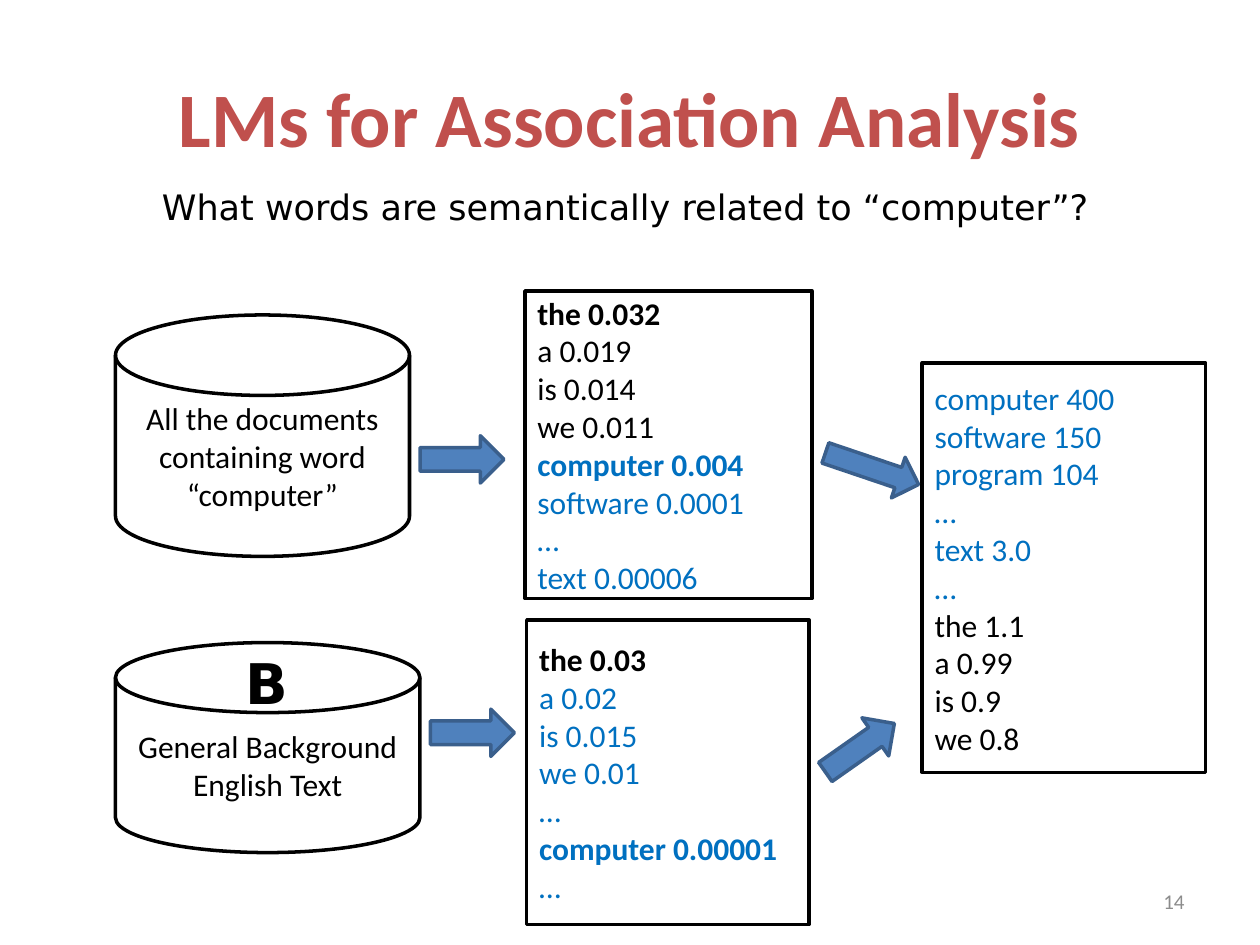
from pptx import Presentation
from pptx.dml.color import RGBColor
from pptx.enum.shapes import MSO_SHAPE
from pptx.enum.text import MSO_ANCHOR, PP_ALIGN
from pptx.util import Pt

RECTANGLE = MSO_SHAPE.RECTANGLE
CYLINDER = MSO_SHAPE.FLOWCHART_MAGNETIC_DISK
ARROW = MSO_SHAPE.RIGHT_ARROW
LEFT, CENTER, RIGHT = PP_ALIGN.LEFT, PP_ALIGN.CENTER, PP_ALIGN.RIGHT
TOP, MIDDLE = MSO_ANCHOR.TOP, MSO_ANCHOR.MIDDLE

BLACK = RGBColor(0x00, 0x00, 0x00)
WHITE = RGBColor(0xFF, 0xFF, 0xFF)
RED = RGBColor(0xC0, 0x50, 0x4D)
GRAY = RGBColor(0x8C, 0x8C, 0x8C)
WORD_BLUE = RGBColor(0x00, 0x70, 0xC0)
ARROW_FILL = RGBColor(0x4F, 0x81, 0xBD)
ARROW_LINE = RGBColor(0x3A, 0x5F, 0x8C)

BODY_FONT = "Calibri"
ACCENT_FONT = "DejaVu Sans"


def add_text(para, text, *, size=18, font=BODY_FONT, color=BLACK, bold=False, align=LEFT):
    """Write one formatted span into a paragraph."""
    para.alignment = align
    span = para.add_run()
    span.text = text
    span.font.size = Pt(size)
    span.font.name = font
    span.font.color.rgb = color
    span.font.bold = bold


class Diagram:
    """Holds the current page and the shared line style."""

    line_width = Pt(2)

    def __init__(self, page):
        self.page = page

    def label(self, text, left, top, width, height, anchor=MIDDLE, wrap=True, **style):
        box = self.page.shapes.add_textbox(Pt(left), Pt(top), Pt(width), Pt(height))
        frame = box.text_frame
        frame.word_wrap = wrap
        frame.vertical_anchor = anchor
        add_text(frame.paragraphs[0], text, **style)

    def shape(self, kind, left, top, width, height, fill=WHITE, line=BLACK):
        shape = self.page.shapes.add_shape(kind, Pt(left), Pt(top), Pt(width), Pt(height))
        shape.shadow.inherit = False
        shape.fill.solid()
        shape.fill.fore_color.rgb = fill
        shape.line.color.rgb = line
        shape.line.width = self.line_width
        shape.text_frame.word_wrap = True
        shape.text_frame.vertical_anchor = MIDDLE
        return shape

    def collection(self, text, *place):
        cylinder = self.shape(CYLINDER, *place)
        add_text(cylinder.text_frame.paragraphs[0], text, align=CENTER)

    def word_list(self, words, related, bold, *place):
        """List words with their values; related ones are blue."""
        frame = self.shape(RECTANGLE, *place).text_frame
        for index, word in enumerate(words):
            para = frame.add_paragraph() if index else frame.paragraphs[0]
            add_text(para, word, bold=index in bold,
                     color=WORD_BLUE if index in related else BLACK)

    def arrow(self, left, top, width, height, rotation=0):
        arrow = self.shape(ARROW, left, top, width, height, ARROW_FILL, ARROW_LINE)
        arrow.rotation = rotation


def main():
    deck = Presentation()
    deck.slide_width, deck.slide_height = Pt(720), Pt(540)
    diagram = Diagram(deck.slides.add_slide(deck.slide_layouts[6]))

    # Title, question and page number
    diagram.label("LMs for Association Analysis", 36, 21.6, 648, 90,
                  size=44, color=RED, bold=True, align=CENTER)
    diagram.label("14", 516, 500.5, 168, 28.8, size=12, color=GRAY, align=RIGHT)
    diagram.label("What words are semantically related to “computer”?",
                  84.2, 102.2, 546.5, 31.7, anchor=TOP, wrap=False,
                  size=20, font=ACCENT_FONT, align=CENTER)

    # Normalized result
    diagram.word_list(
        ["computer 400", "software 150", "program 104", "…", "text 3.0", "…",
         "the 1.1", "a 0.99", "is 0.9", "we 0.8"],
        range(6), (), 527, 207.4, 162, 234)
    diagram.arrow(470.2, 255.6, 56.2, 24.5, 18.7)
    diagram.arrow(467.3, 414, 48.2, 26.6, 324.9)

    # Topic documents and their model
    diagram.collection("All the documents containing word “computer”",
                       66, 180, 168, 138)
    diagram.word_list(
        ["the 0.032", "a 0.019", "is 0.014", "we 0.011", "computer 0.004",
         "software 0.0001", "…", "text 0.00006"],
        range(4, 8), (0, 4), 300, 166.3, 164, 175.7)
    diagram.arrow(240, 249, 48, 27)

    # Background text and its model
    diagram.collection("General Background English Text", 66, 367.2, 174, 120)
    diagram.word_list(
        ["the 0.03", "a 0.02", "is 0.015", "we 0.01", "…",
         "computer 0.00001", "…"],
        range(1, 7), (0, 5), 301, 354.2, 161.3, 174.2)
    diagram.arrow(246, 405.2, 48, 27)
    diagram.label("B", 133.2, 367.2, 38.9, 46, anchor=TOP, wrap=False,
                  size=32, font=ACCENT_FONT, bold=True)

    deck.save("out.pptx")


if __name__ == "__main__":
    main()
